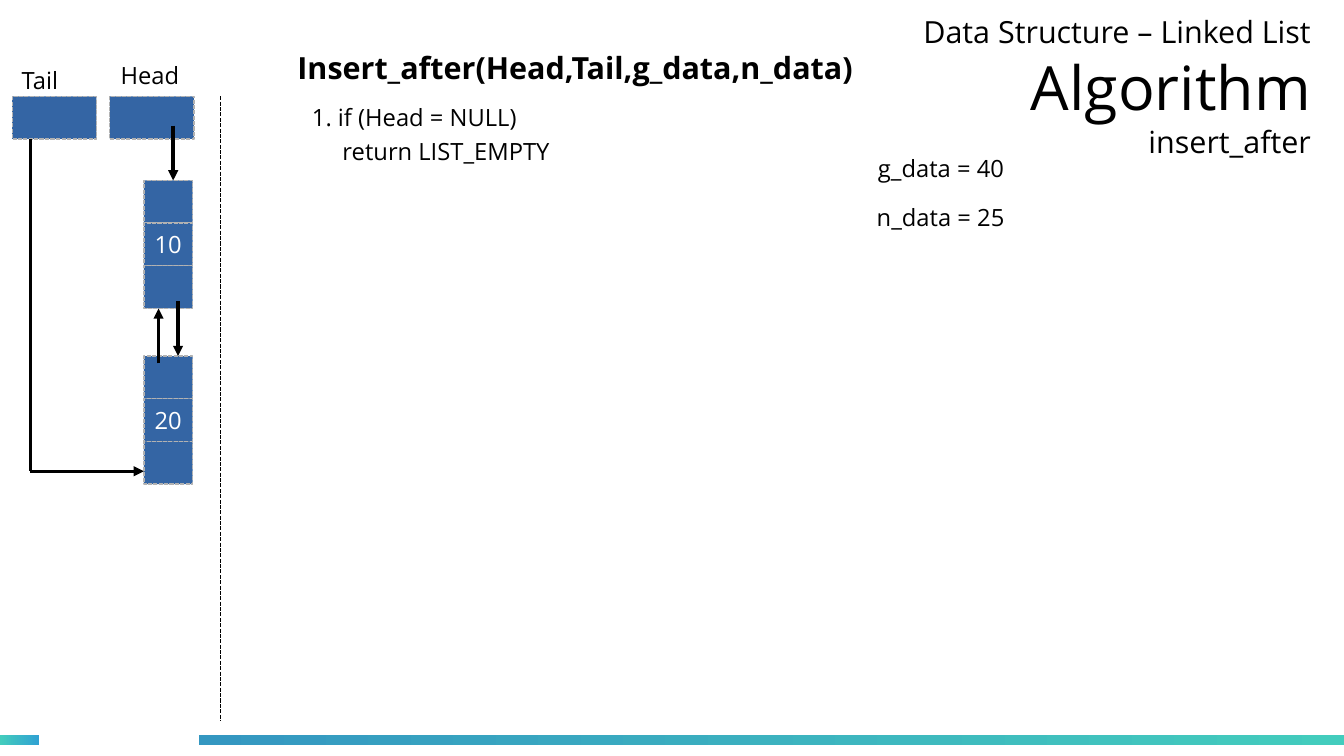
from lxml import etree
from pptx import Presentation
from pptx.dml.color import RGBColor
from pptx.enum.dml import MSO_LINE
from pptx.enum.shapes import MSO_CONNECTOR, MSO_SHAPE
from pptx.enum.text import MSO_ANCHOR, PP_ALIGN
from pptx.oxml.ns import qn
from pptx.util import Inches, Pt

RECTANGLE = MSO_SHAPE.RECTANGLE
STRAIGHT = MSO_CONNECTOR.STRAIGHT
DASH = MSO_LINE.SQUARE_DOT
LEFT, CENTER, RIGHT = PP_ALIGN.LEFT, PP_ALIGN.CENTER, PP_ALIGN.RIGHT
MIDDLE = MSO_ANCHOR.MIDDLE

COLORS = {name: RGBColor.from_string(value) for name, value in {
    "ink": "000000", "paper": "FFFFFF", "cell": "3465A4", "edge": "B2B2B2",
    "teal": "43CCBD", "sky": "30A2D2", "blue": "3497C1"}.items()}
FONT = "Open Sans"
WIDTH, HEIGHT = 11.02, 6.2

# Grid of the list drawing, in inches
ROW = 0.35
TOP = 0.79
NODE_LEFT, NODE_WIDTH = 1.18, 0.4
POINTER_WIDTH = 0.69
NODE_TOPS = {"10": 1.48, "20": 2.92}
FOOT_TOP, FOOT_HEIGHT = 6.03, 0.08

deck = Presentation()
deck.slide_width, deck.slide_height = Inches(WIDTH), Inches(HEIGHT)
page = deck.slides.add_slide(deck.slide_layouts[6])


def write(frame, lines, color="ink", align=LEFT, bold=False):
    for index, (text, size) in enumerate(lines):
        para = frame.paragraphs[0] if index == 0 else frame.add_paragraph()
        para.text = text
        para.alignment = align
        para.font.name, para.font.size = FONT, Pt(size)
        para.font.bold = bold
        para.font.color.rgb = COLORS[color]


def add_line(start, end, arrow=False, width=0):
    line = page.shapes.add_connector(STRAIGHT, *map(Inches, start + end))
    line.line.color.rgb = COLORS["ink"]
    line.line.width = Pt(width)
    if arrow:
        etree.SubElement(line.line._get_or_add_ln(), qn("a:tailEnd"), type="triangle")
    etree.SubElement(line._element.spPr, qn("a:effectLst"))
    return line


# Footer bars
for left, width, first, last in [(0, 0.32, "teal", "sky"),
                                 (1.63, WIDTH - 1.63, "blue", "teal")]:
    bar = page.shapes.add_shape(RECTANGLE, *map(Inches, (left, FOOT_TOP, width, FOOT_HEIGHT)))
    bar.shadow.inherit = False
    bar.line.fill.background()
    bar.fill.gradient()
    bar.fill.gradient_angle = 0
    for stop, name in zip(bar.fill.gradient_stops, (first, last)):
        stop.color.rgb = COLORS[name]

# Title
title = page.shapes.add_textbox(*map(Inches, (7.29, -0.02, 3.46, 1.45)))
frame = title.text_frame
frame.word_wrap = True
frame.vertical_anchor = MIDDLE
frame.margin_left = frame.margin_right = frame.margin_top = frame.margin_bottom = 0
write(frame, [("Data Structure – Linked List", 18), ("Algorithm", 36),
              ("insert_after", 18)], align=RIGHT)

# Divider between drawing and algorithm
divider = add_line((1.81, TOP), (1.81, 5.91), width=0.79)
divider.line.dash_style = DASH

# Algorithm steps, sample values and pointer names
for text, left, top, width, size, bold in [
        ("Insert_after(Head,Tail,g_data,n_data)", 2.34, 0.35, 5.61, 18, True),
        ("1. if (Head = NULL)", 2.46, TOP, 3.1, 14, False),
        ("return LIST_EMPTY", 2.71, 1.07, 2.49, 14, False),
        ("g_data = 40", 7.1, 1.21, 1.72, 14, False),
        ("n_data = 25", 7.09, 1.61, 1.81, 14, False),
        ("Head", 0.89, 0.45, 0.74, 14, False),
        ("Tail", 0.08, 0.49, 0.74, 14, False)]:
    box = page.shapes.add_textbox(*map(Inches, (left, top, width, ROW)))
    box.text_frame.word_wrap = True
    write(box.text_frame, [(text, size)], bold=bold)

# Pointer boxes, then three cells per node with the value in the middle
cells = [(left, TOP, POINTER_WIDTH, "") for left in (0.1, 0.9)]
for value, top in NODE_TOPS.items():
    cells += [(NODE_LEFT, top + row * ROW, NODE_WIDTH, text)
              for row, text in enumerate(("", value, ""))]
for left, top, width, text in cells:
    cell = page.shapes.add_shape(RECTANGLE, *map(Inches, (left, top, width, ROW)))
    cell.shadow.inherit = False
    cell.fill.solid()
    cell.fill.fore_color.rgb = COLORS["cell"]
    cell.line.color.rgb = COLORS["edge"]
    cell.line.width = Pt(0.79)
    cell.line.dash_style = DASH
    if text:
        cell.text_frame.word_wrap = False
        cell.text_frame.vertical_anchor = MIDDLE
        write(cell.text_frame, [(text, 14)], color="paper", align=CENTER)

# Links: head to first node, next, previous, and tail to last node
first, last = NODE_TOPS.values()
first_end = first + 3 * ROW
tail_level = last + 2.7 * ROW
for start, end, arrow in [
        ((1.42, 1.03), (1.42, first), True),
        ((1.46, first_end - 0.06), (1.46, last), True),
        ((1.3, last + 0.06), (1.3, first_end), True),
        ((0.25, TOP + ROW), (0.25, tail_level), False),
        ((0.25, tail_level), (NODE_LEFT, tail_level), True)]:
    add_line(start, end, arrow)

deck.save("out.pptx")
